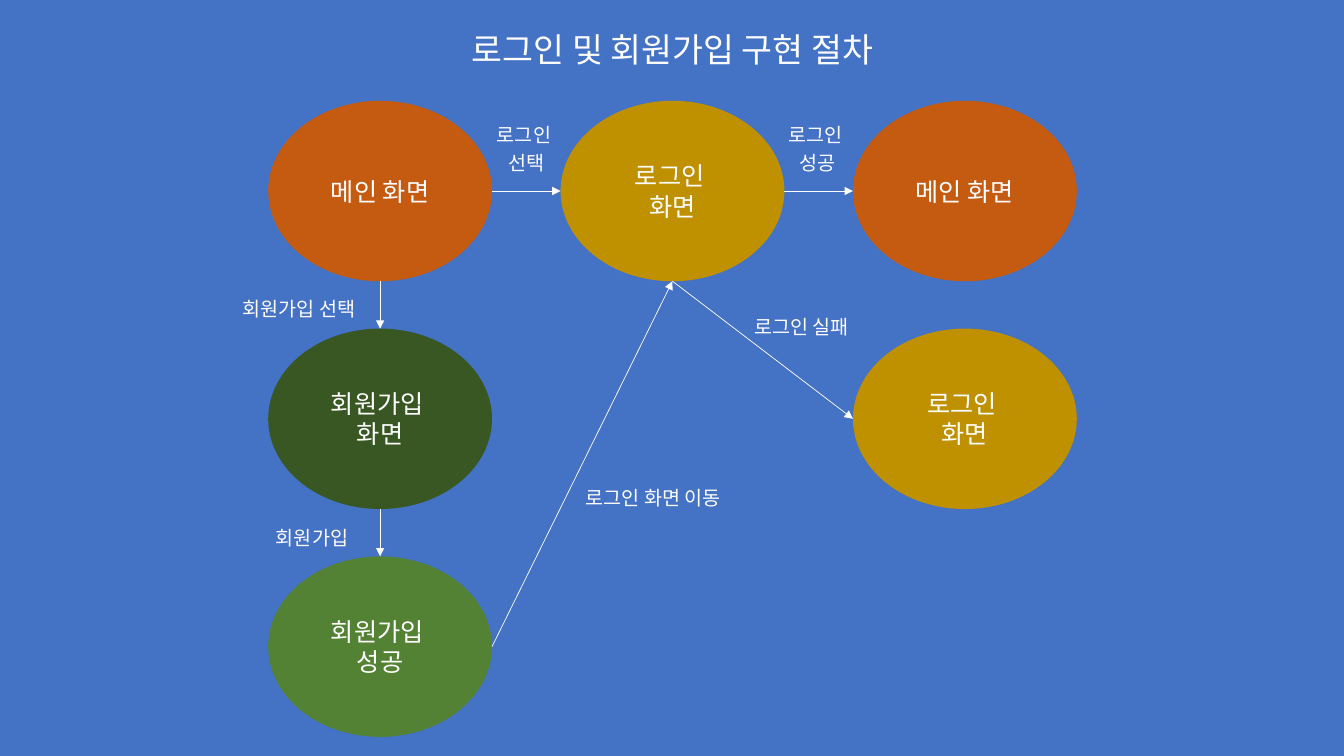
from dataclasses import dataclass

from lxml.etree import SubElement
from pptx import Presentation
from pptx.dml.color import RGBColor
from pptx.enum.shapes import MSO_CONNECTOR, MSO_SHAPE
from pptx.enum.text import MSO_ANCHOR, MSO_AUTO_SIZE, PP_ALIGN
from pptx.oxml.ns import qn
from pptx.slide import Slide
from pptx.text.text import TextFrame
from pptx.util import Inches, Pt

FONT = "Noto Sans CJK KR"
BLUE, WHITE = "4472C4", "FFFFFF"
ORANGE, GOLD = "C55A11", "BF9000"
DARK_GREEN, GREEN = "385723", "548235"

SCREEN_W, SCREEN_H = 2.22, 1.79
FIRST_LEFT, FIRST_TOP = 2.66, 1.0
COLUMN_STEP, ROW_STEP = 2.9, 2.26


@dataclass(frozen=True)
class Screen:
    text: str
    column: int
    row: int
    fill: str

    @property
    def left(self) -> float:
        return FIRST_LEFT + self.column * COLUMN_STEP

    @property
    def top(self) -> float:
        return FIRST_TOP + self.row * ROW_STEP

    def side(self, name: str) -> tuple[float, float]:
        """Return the middle point of one side of the ellipse."""
        across, down = {"top": (0.5, 0), "bottom": (0.5, 1),
                        "left": (0, 0.5), "right": (1, 0.5)}[name]
        return self.left + across * SCREEN_W, self.top + down * SCREEN_H


@dataclass(frozen=True)
class Step:
    source: Screen
    source_side: str
    target: Screen
    target_side: str
    label: str
    label_at: tuple[float, float, float, float]


MAIN = Screen("메인 화면", 0, 0, ORANGE)
LOGIN = Screen("로그인 \n화면", 1, 0, GOLD)
MAIN_AFTER_LOGIN = Screen("메인 화면", 2, 0, ORANGE)
SIGN_UP = Screen("회원가입 \n화면", 0, 1, DARK_GREEN)
SIGNED_UP = Screen("회원가입 \n성공", 0, 2, GREEN)
LOGIN_AGAIN = Screen("로그인 \n화면", 2, 1, GOLD)
SCREENS = (MAIN, LOGIN, MAIN_AFTER_LOGIN, SIGN_UP, SIGNED_UP, LOGIN_AGAIN)

STEPS = (
    Step(MAIN, "right", LOGIN, "left", "로그인 \n선택", (4.72, 1.13, 1, 0.64)),
    Step(LOGIN, "right", MAIN_AFTER_LOGIN, "left", "로그인 \n성공", (7.61, 1.13, 1, 0.64)),
    Step(MAIN, "bottom", SIGN_UP, "top", "회원가입 선택", (2.29, 2.85, 1.35, 0.36)),
    Step(SIGN_UP, "bottom", SIGNED_UP, "top", "회원가입", (2.42, 5.12, 1.35, 0.36)),
    Step(SIGNED_UP, "right", LOGIN, "bottom", "로그인 화면 이동", (5.59, 4.73, 1.78, 0.36)),
    Step(LOGIN, "bottom", LOGIN_AGAIN, "left", "로그인 실패", (7.29, 3.03, 1.32, 0.36)),
)


def color(value: str) -> RGBColor:
    return RGBColor.from_string(value)


def write(frame: TextFrame, text: str, *, size: float,
          line_spacing: float | Pt = 1.0,
          anchor: MSO_ANCHOR = MSO_ANCHOR.MIDDLE,
          auto_size: MSO_AUTO_SIZE = MSO_AUTO_SIZE.NONE) -> None:
    frame.word_wrap = True
    frame.auto_size = auto_size
    frame.vertical_anchor = anchor
    frame.text = text
    for paragraph in frame.paragraphs:
        paragraph.alignment = PP_ALIGN.CENTER
        paragraph.line_spacing = line_spacing
        for run in paragraph.runs:
            run.font.size = Pt(size)
            run.font.color.rgb = color(WHITE)
            run.font.name = FONT
            SubElement(run._r.get_or_add_rPr(), qn("a:ea"), typeface=FONT)


def add_title(slide: Slide, text: str) -> None:
    title = slide.shapes.title
    title.left, title.top = Inches(0.92), Inches(0.18)
    title.width, title.height = Inches(11.5), Inches(0.67)
    write(title.text_frame, text, size=24, line_spacing=0.9)


def add_screen(slide: Slide, screen: Screen) -> None:
    ellipse = slide.shapes.add_shape(
        MSO_SHAPE.FLOWCHART_CONNECTOR, Inches(screen.left), Inches(screen.top),
        Inches(SCREEN_W), Inches(SCREEN_H))
    ellipse.shadow.inherit = False
    ellipse.fill.solid()
    ellipse.fill.fore_color.rgb = color(screen.fill)
    ellipse.line.fill.background()
    write(ellipse.text_frame, screen.text, size=18)


def add_arrow(slide: Slide, step: Step) -> None:
    ends = step.source.side(step.source_side) + step.target.side(step.target_side)
    arrow = slide.shapes.add_connector(MSO_CONNECTOR.STRAIGHT, *map(Inches, ends))
    arrow.line.color.rgb = color(WHITE)
    arrow.line.width = Pt(0.5)
    SubElement(arrow.line._get_or_add_ln(), qn("a:tailEnd"), type="triangle")
    SubElement(arrow._element.spPr, qn("a:effectLst"))


def add_label(slide: Slide, step: Step) -> None:
    label = slide.shapes.add_textbox(*map(Inches, step.label_at))
    write(label.text_frame, step.label, size=14, line_spacing=Pt(20),
          anchor=MSO_ANCHOR.TOP, auto_size=MSO_AUTO_SIZE.SHAPE_TO_FIT_TEXT)


def main() -> None:
    presentation = Presentation()
    presentation.slide_width = Inches(13.33)
    presentation.slide_height = Inches(7.5)
    slide = presentation.slides.add_slide(presentation.slide_layouts[5])
    slide.background.fill.solid()
    slide.background.fill.fore_color.rgb = color(BLUE)

    add_title(slide, "로그인 및 회원가입 구현 절차")
    for screen in SCREENS:
        add_screen(slide, screen)
    for step in STEPS:
        add_arrow(slide, step)
        add_label(slide, step)
    presentation.save("out.pptx")


if __name__ == "__main__":
    main()
